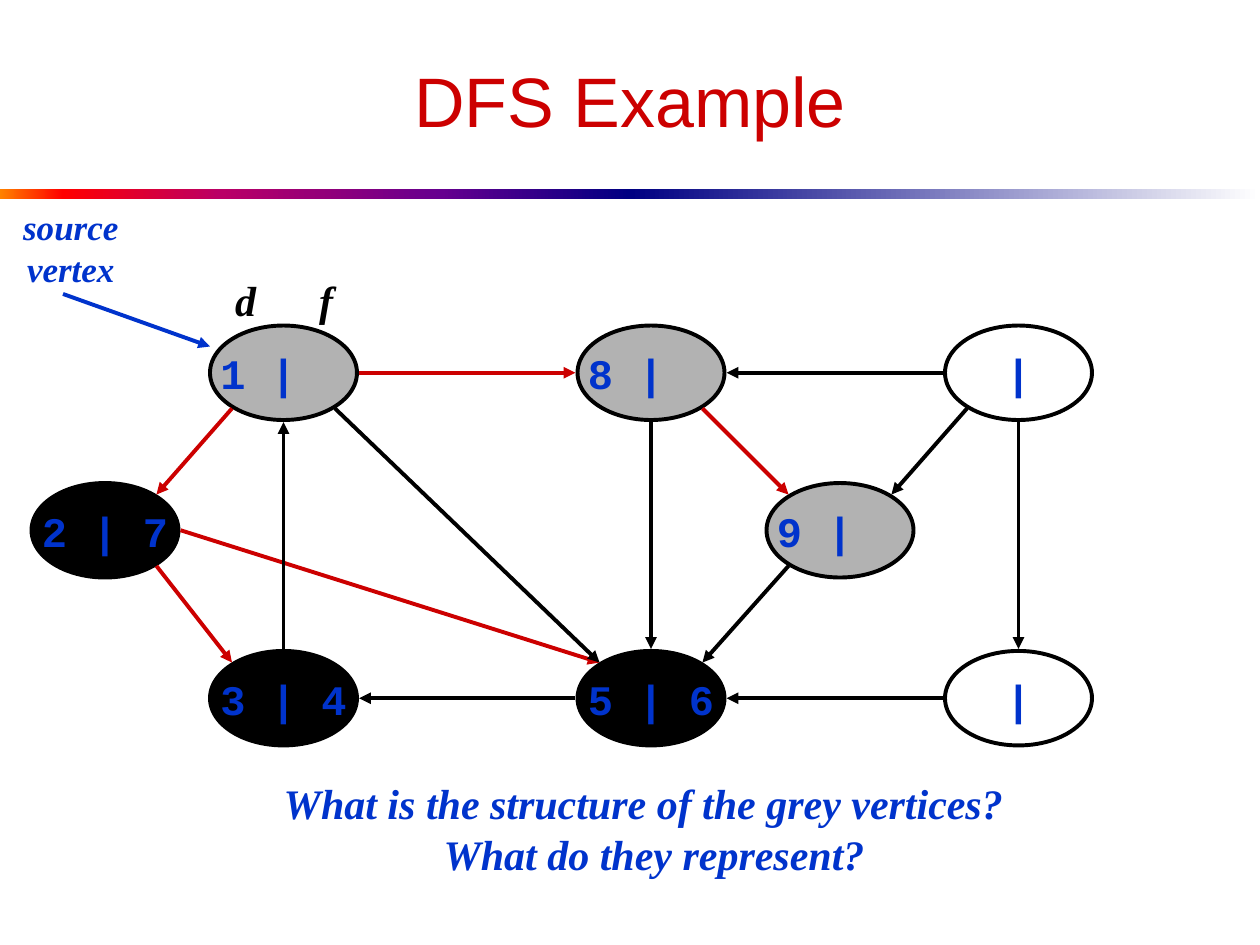
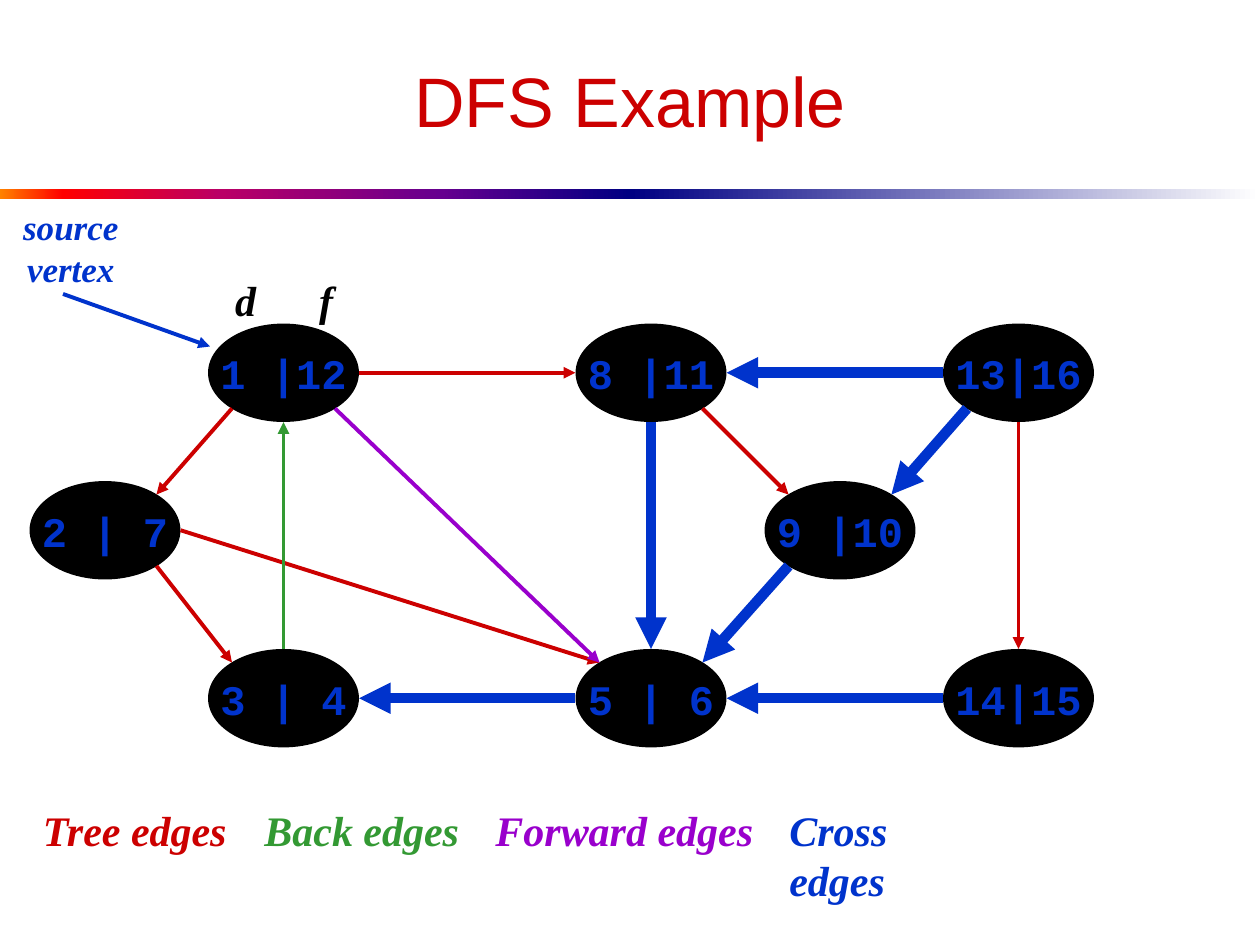
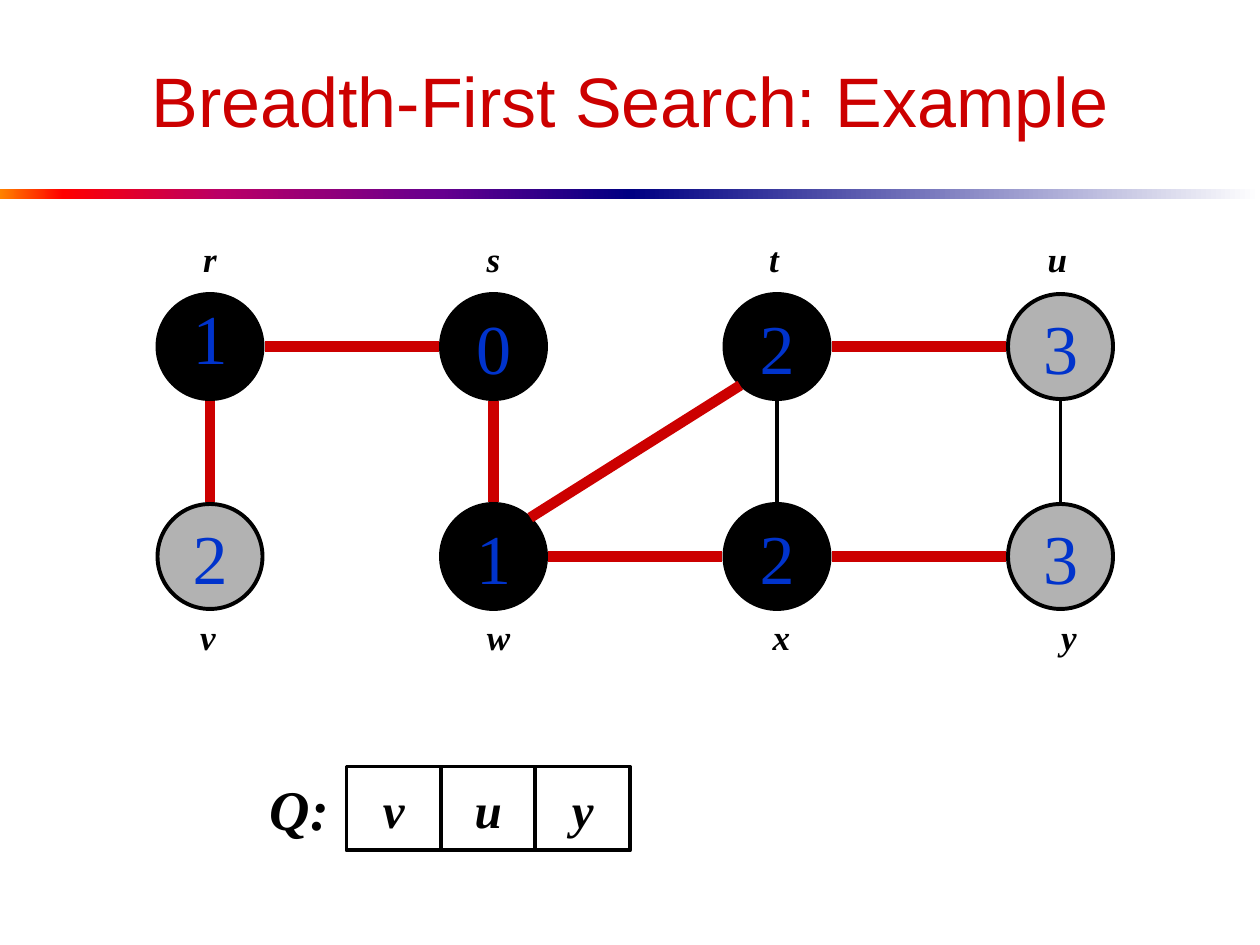
from dataclasses import dataclass, replace
from enum import Enum
from typing import NamedTuple

from lxml.etree import SubElement
from pptx import Presentation
from pptx.dml.color import RGBColor
from pptx.enum.shapes import MSO_CONNECTOR, MSO_SHAPE as SHAPE
from pptx.enum.text import MSO_ANCHOR as ANCHOR, PP_ALIGN as ALIGN
from pptx.oxml.ns import qn
from pptx.util import Emu, Pt

PX = 7620  # EMU; 120 px to the inch
SLIDE_W, SLIDE_H = 1200, 900

RED, BLUE, GREEN, PURPLE = "CC0000", "0033CC", "339933", "9900CC"
BLACK, GREY = "000000", "B2B2B2"
THIN, THICK = 2.25, 6


class Box(NamedTuple):
    left: int
    top: int
    width: int
    height: int


@dataclass(frozen=True)
class Style:
    name: str
    size: int
    color: str
    bold: bool = False
    italic: bool = False


TITLE = Style("Arial", 40, RED)
TIMES = Style("Courier New", 24, BLUE, bold=True)
DISTANCE = Style("Times New Roman", 40, BLUE)
NOTE = Style("Times New Roman", 24, BLUE, bold=True, italic=True)
NAME = replace(NOTE, size=20, color=BLACK)


@dataclass(frozen=True)
class Node:
    box: Box
    label: str
    fill: str | None

    def port(self, side: str) -> tuple[int, int]:
        """Point on the outline facing a compass side, just clear of the border."""
        gap = 2
        dx = ("e" in side) - ("w" in side)
        dy = ("s" in side) - ("n" in side)
        reach = 0.5 ** 0.5 if dx and dy else 1
        x = self.box.left + self.box.width / 2 * (1 + dx * reach)
        y = self.box.top + self.box.height / 2 * (1 + dy * reach)
        return round(x + (0 if dy else gap * dx)), round(y + gap * dy)


class Edge(NamedTuple):
    start: str
    start_side: str
    end: str
    end_side: str
    kind: object


class Kind(Enum):
    TREE = (RED, THIN)
    BACK = (GREEN, THIN)
    FORWARD = (PURPLE, THIN)
    CROSS = (BLUE, THICK)
    PLAIN = (BLACK, THIN)


# Vertices are named by discovery time
DFS_PLACES = {
    "1": (200, 310), "8": (550, 310), "13": (900, 310),
    "14": (900, 620), "5": (550, 620), "3": (200, 620),
    "2": (30, 460), "9": (730, 460),
}
DFS_EDGES = [
    Edge("1", "sw", "2", "ne", Kind.TREE),
    Edge("2", "se", "3", "nw", Kind.TREE),
    Edge("2", "e", "5", "nw", Kind.TREE),
    Edge("5", "w", "3", "e", Kind.CROSS),
    Edge("3", "n", "1", "s", Kind.BACK),
    Edge("8", "s", "5", "n", Kind.CROSS),
    Edge("1", "e", "8", "w", Kind.TREE),
    Edge("13", "w", "8", "e", Kind.CROSS),
    Edge("8", "se", "9", "nw", Kind.TREE),
    Edge("13", "sw", "9", "ne", Kind.CROSS),
    Edge("13", "s", "14", "n", Kind.TREE),
    Edge("14", "w", "5", "e", Kind.CROSS),
    Edge("9", "sw", "5", "ne", Kind.CROSS),
    Edge("1", "se", "5", "nw", Kind.FORWARD),
]
BFS_EDGES = [
    Edge("v", "n", "r", "s", Kind.TREE),
    Edge("r", "e", "s", "w", Kind.TREE),
    Edge("s", "s", "w", "n", Kind.TREE),
    Edge("w", "ne", "t", "sw", Kind.TREE),
    Edge("w", "e", "x", "w", Kind.TREE),
    Edge("x", "n", "t", "s", Kind.PLAIN),
    Edge("t", "e", "u", "w", Kind.TREE),
    Edge("x", "e", "y", "w", Kind.TREE),
    Edge("y", "n", "u", "s", Kind.PLAIN),
]


def rgb(color: str) -> RGBColor:
    return RGBColor.from_string(color)


def emu(*lengths: float) -> list[Emu]:
    return [Emu(round(length * PX)) for length in lengths]


def write(sp, text: str, style: Style, align=ALIGN.CENTER, anchor=ANCHOR.MIDDLE):
    tf = sp.text_frame
    tf.text = text
    tf.word_wrap = False
    tf.vertical_anchor = anchor
    for p in tf.paragraphs:
        p.alignment = align
        font = p.font
        font.name, font.size = style.name, Pt(style.size)
        font.bold, font.italic = style.bold, style.italic
        font.color.rgb = rgb(style.color)
    return tf


def add_text(slide, box: Box, text: str, style: Style, align=ALIGN.CENTER,
             anchor=ANCHOR.TOP):
    return write(slide.shapes.add_textbox(*emu(*box)), text, style, align, anchor)


def add_outlined(slide, shape, box: Box, text: str, style: Style, fill=None):
    sp = slide.shapes.add_shape(shape, *emu(*box))
    sp.shadow.inherit = False
    if fill:
        sp.fill.solid()
        sp.fill.fore_color.rgb = rgb(fill)
    else:
        sp.fill.background()
    sp.line.color.rgb = rgb(BLACK)
    sp.line.width = Pt(THIN)
    return write(sp, text, style)


def add_line(slide, start, end, color: str, width: float, arrow: bool) -> None:
    cxn = slide.shapes.add_connector(MSO_CONNECTOR.STRAIGHT, *emu(*start, *end))
    cxn.line.color.rgb = rgb(color)
    cxn.line.width = Pt(width)
    if arrow:
        SubElement(cxn.line._get_or_add_ln(), qn("a:tailEnd"), type="triangle")
    SubElement(cxn.element.spPr, qn("a:effectLst"))


def add_band(slide, left: int, stops: dict[int, str]) -> None:
    """Half of the rule under the title, shaded from left to right."""
    sp = slide.shapes.add_shape(SHAPE.RECTANGLE, *emu(left, 180, SLIDE_W // 2, 10))
    sp.shadow.inherit = False
    sp.line.fill.background()
    sp.fill.gradient()
    sp.fill.gradient_angle = 0
    stop_list = sp.element.spPr.find(".//" + qn("a:gsLst"))
    stop_list.clear()
    for percent, color in stops.items():
        stop = SubElement(stop_list, qn("a:gs"), pos=str(percent * 1000))
        SubElement(stop, qn("a:srgbClr"), val=color)


def add_slide(prs, title: str):
    slide = prs.slides.add_slide(prs.slide_layouts[5])
    add_band(slide, 0, {0: "FF8200", 10: "FF0000", 35: "BA0066", 70: "66008F",
                        100: "000082"})
    add_band(slide, SLIDE_W // 2, {0: "000082", 100: "FFFFFF"})
    sp = slide.shapes.title
    sp.left, sp.top, sp.width, sp.height = emu(60, 30, 1080, 130)
    write(sp, title, TITLE).word_wrap = True
    return slide


def add_dfs_slide(prs, labels: dict[str, str], fills: dict[str, str | None],
                  classified: bool):
    slide = add_slide(prs, "DFS Example")
    nodes = {key: Node(Box(*place, 140, 90), labels[key], fills.get(key, BLACK))
             for key, place in DFS_PLACES.items()}
    for node in nodes.values():
        tf = add_outlined(slide, SHAPE.OVAL, node.box, node.label, TIMES, node.fill)
        if node.label.endswith(" |"):
            # Keep the bar at the centre while the finish time is still missing
            tf.margin_left, tf.margin_right = emu(0, 48)
    for edge in DFS_EDGES:
        start, end = nodes[edge.start], nodes[edge.end]
        explored = edge.kind is Kind.TREE and start.fill and end.fill
        kind = edge.kind if classified or explored else Kind.PLAIN
        add_line(slide, start.port(edge.start_side), end.port(edge.end_side),
                 *kind.value, arrow=True)

    add_line(slide, (60, 280), (200, 330), BLUE, THIN, arrow=True)
    add_text(slide, Box(10, 190, 115, 92), "source\vvertex", replace(NOTE, size=20))
    tf = add_text(slide, Box(224, 240, 140, 90), "", NAME, anchor=ANCHOR.MIDDLE)
    p = tf.paragraphs[0]
    tabs = SubElement(p._p.get_or_add_pPr(), qn("a:tabLst"))
    SubElement(tabs, qn("a:tab"), pos=str(80 * PX), algn="l")
    p._p.pPr.insert(0, tabs)
    write_left = replace(NOTE, color=BLACK)
    sp_margin = emu(0)[0]
    tf.margin_left = tf.margin_right = sp_margin
    p.text = "d\tf"
    p.alignment = ALIGN.LEFT
    p.font.size = Pt(write_left.size)
    tf.word_wrap = True
    return slide


def add_dfs_in_progress(prs) -> None:
    labels = {"1": "1 |", "8": "8 |", "13": "|", "14": "|", "5": "5 | 6",
              "3": "3 | 4", "2": "2 | 7", "9": "9 |"}
    fills = {"1": GREY, "8": GREY, "9": GREY, "13": None, "14": None}
    slide = add_dfs_slide(prs, labels, fills, classified=False)
    tf = add_text(slide, Box(248, 735, 730, 108),
                  "What is the structure of the grey vertices?\n"
                  "What do they represent?", NOTE)
    tf.word_wrap = True
    pPr = tf.paragraphs[1]._p.get_or_add_pPr()
    pPr.set("marL", str(20 * PX))
    pPr.set("indent", "0")


def add_dfs_finished(prs) -> None:
    labels = {"1": "1 |12", "8": "8 |11", "13": "13|16", "14": "14|15",
              "5": "5 | 6", "3": "3 | 4", "2": "2 | 7", "9": "9 |10"}
    slide = add_dfs_slide(prs, labels, {}, classified=True)
    legend = [(29, 200, Kind.TREE), (240, 210, Kind.BACK),
              (460, 270, Kind.FORWARD), (740, 218, Kind.CROSS)]
    for left, width, kind in legend:
        add_text(slide, Box(left, 760, width, 60), f"{kind.name.capitalize()} edges",
                 replace(NOTE, color=kind.value[0]), ALIGN.LEFT)


def add_bfs(prs) -> None:
    slide = add_slide(prs, "Breadth-First Search: Example")
    distances = {"r": 1, "s": 0, "t": 2, "u": 3, "v": 2, "w": 1, "x": 2, "y": 3}
    name_shifts = {"t": -3, "u": -4, "v": -2, "w": 2, "x": 4, "y": 8}
    queue = "vuy"
    nodes = {}
    for i, (name, distance) in enumerate(distances.items()):
        row, col = divmod(i, 4)
        box = Box(150 + 270 * col, 280 + 200 * row, 100, 100)
        fill = GREY if name in queue else BLACK
        nodes[name] = Node(box, str(distance), fill)
        tf = add_outlined(slide, SHAPE.OVAL, box, str(distance), DISTANCE, fill)
        if name == "r":
            tf.paragraphs[0].line_spacing = 0.7
        name_left = box.left + 30 + name_shifts.get(name, 0)
        add_text(slide, Box(name_left, 220 + 360 * row, 40, 52), name, NAME)
    for edge in BFS_EDGES:
        color = edge.kind.value[0]
        add_line(slide, nodes[edge.start].port(edge.start_side),
                 nodes[edge.end].port(edge.end_side), color,
                 THICK if edge.kind is Kind.TREE else THIN, arrow=False)

    add_text(slide, Box(240, 730, 90, 80), "Q:", replace(NAME, size=32),
             anchor=ANCHOR.MIDDLE)
    for i, name in enumerate(queue):
        add_outlined(slide, SHAPE.RECTANGLE, Box(330 + 90 * i, 730, 90, 80), name,
                     replace(NAME, size=28))


def main() -> None:
    prs = Presentation()
    prs.slide_width, prs.slide_height = emu(SLIDE_W, SLIDE_H)
    add_dfs_in_progress(prs)
    add_dfs_finished(prs)
    add_bfs(prs)
    prs.save("out.pptx")


if __name__ == "__main__":
    main()
